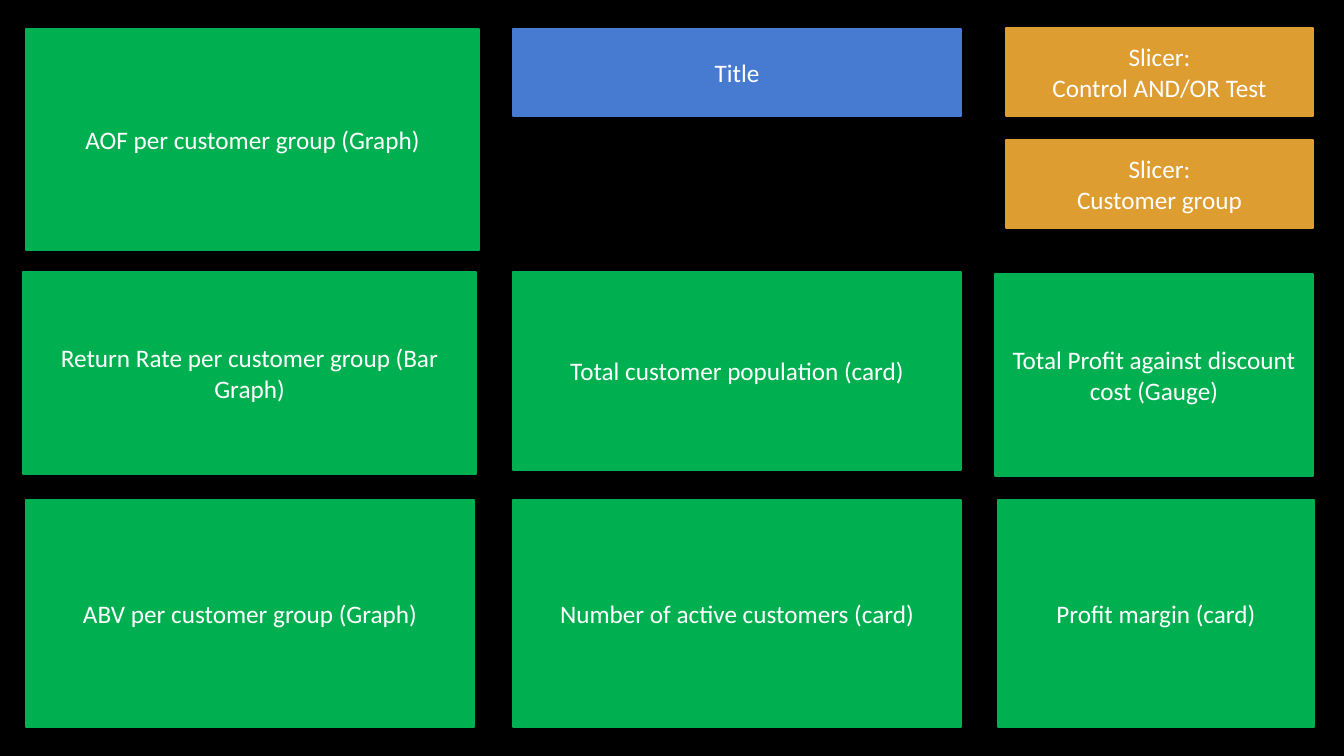
from dataclasses import dataclass

from pptx import Presentation
from pptx.dml.color import RGBColor
from pptx.enum.shapes import MSO_SHAPE as Form
from pptx.enum.text import MSO_ANCHOR as Anchor, MSO_AUTO_SIZE as Fit, PP_ALIGN as Align
from pptx.shapes.autoshape import Shape
from pptx.util import Emu, Pt

PX = 9144
BLACK = RGBColor(0x00, 0x00, 0x00)
WHITE = RGBColor(0xFF, 0xFF, 0xFF)
GREEN = RGBColor(0x00, 0xB0, 0x50)
BLUE = RGBColor(0x47, 0x7B, 0xD1)
AMBER = RGBColor(0xDD, 0x9D, 0x31)


@dataclass(frozen=True)
class Tile:
    text: str
    left: int
    top: int
    width: int
    height: int
    color: RGBColor = GREEN


TITLE = Tile("Title", 509, 29, 444, 86, BLUE)
TILES = [
    Tile("AOF per customer group (Graph)", 26, 29, 449, 219),
    Tile("Slicer:\nControl AND/OR Test", 998, 28, 304, 87, AMBER),
    Tile("Slicer:\nCustomer group", 998, 139, 304, 87, AMBER),
    Tile("Return Rate per customer group (Bar Graph)", 23, 270, 449, 200),
    Tile("Total customer population (card)", 509, 270, 444, 196),
    Tile("Total Profit against discount cost (Gauge)", 987, 272, 315, 200),
    Tile("ABV per customer group (Graph)", 26, 496, 444, 225),
    Tile("Number of active customers (card)", 509, 496, 444, 225),
    Tile("Profit margin (card)", 990, 496, 313, 225),
]


def px(count: int) -> Emu:
    return Emu(count * PX)


def write(shape: Shape, text: str, *, size: int = 18, font: str = "Calibri",
          color: RGBColor = WHITE, align: Align = Align.CENTER) -> None:
    frame = shape.text_frame
    frame.text = text
    frame.word_wrap = True
    frame.auto_size = Fit.NONE
    frame.vertical_anchor = Anchor.MIDDLE
    for para in frame.paragraphs:
        para.alignment = align
        for run in para.runs:
            run.font.size = Pt(size)
            run.font.name = font
            run.font.color.rgb = color


def style(shape: Shape, tile: Tile) -> None:
    shape.left, shape.top = px(tile.left), px(tile.top)
    shape.width, shape.height = px(tile.width), px(tile.height)
    shape.shadow.inherit = False
    shape.fill.solid()
    shape.fill.fore_color.rgb = tile.color
    shape.line.color.rgb = tile.color
    shape.line.width = Pt(1.5)
    write(shape, tile.text)


def main() -> None:
    deck = Presentation()
    deck.slide_width, deck.slide_height = px(1333), px(750)
    slide = deck.slides.add_slide(deck.slide_layouts.get_by_name("Title Only"))
    back = slide.background.fill
    back.solid()
    back.fore_color.rgb = BLACK
    style(slide.shapes.title, TITLE)
    for tile in TILES:
        style(slide.shapes.add_shape(Form.RECTANGLE, 0, 0, 0, 0), tile)
    deck.save("out.pptx")


if __name__ == "__main__":
    main()
